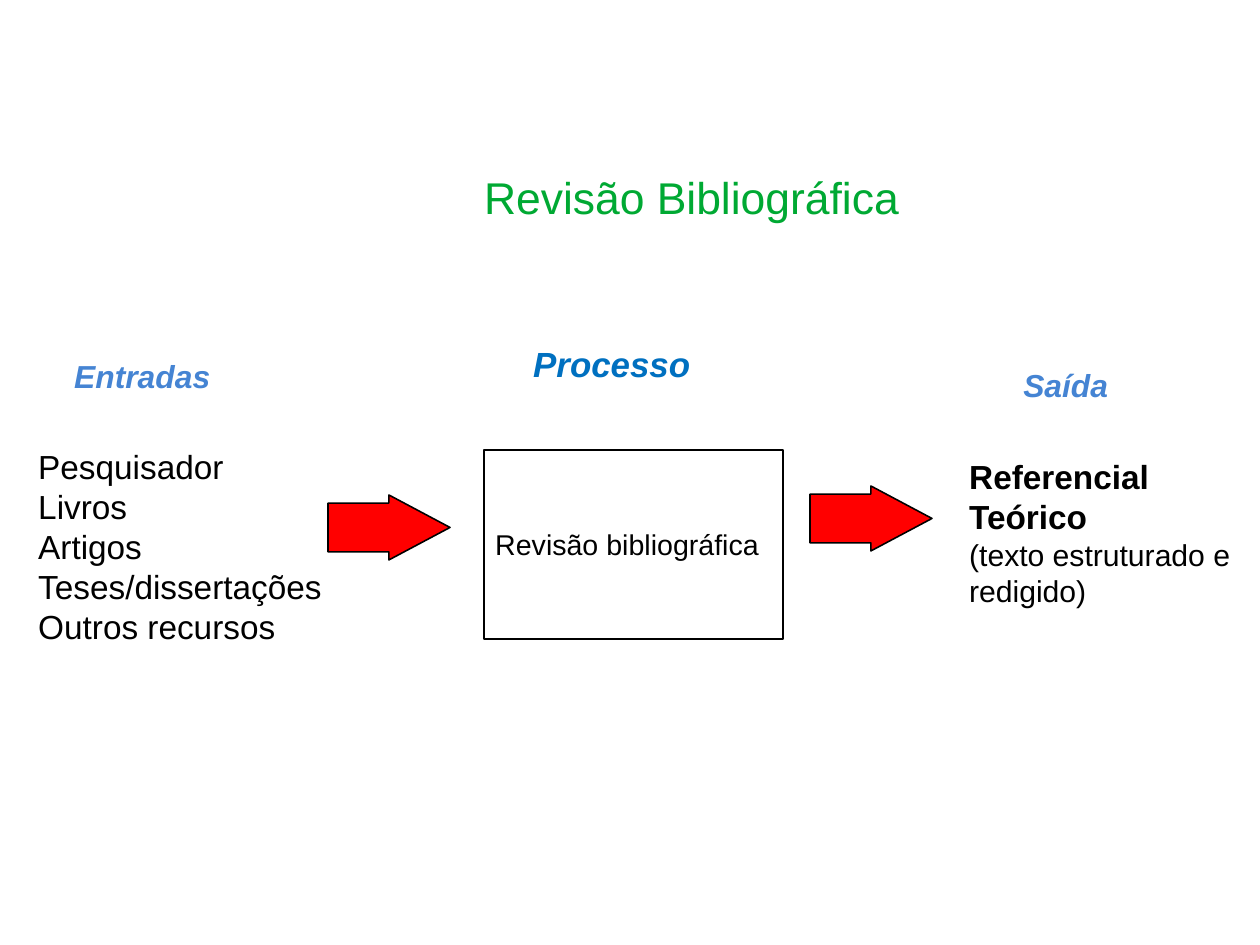
from pptx import Presentation
from pptx.dml.color import RGBColor
from pptx.enum.shapes import MSO_SHAPE as Shape
from pptx.enum.text import MSO_ANCHOR as Anchor, PP_ALIGN as Align
from pptx.util import Pt

PX = 8000
COLORS = {
    "title": "00A933", "side": "4584D3", "process": "0070C0",
    "ink": "000000", "arrow": "FF0000", "paper": "FFFFFF",
}

TITLE = ("Revisão Bibliográfica ", 28, "title", "")
TITLE_BOX = (198, 118, 999, 158)
HEADINGS = [
    ((63, 351, 164, 49), [("Entradas", 20, "side", "bi")]),
    ((522, 337, 190, 89), [("Processo", 22, "process", "bi")]),
    ((1012, 360, 122, 82), [("Saída", 20, "side", "bi")]),
]
INPUTS = ["Pesquisador", "Livros", "Artigos", "Teses/dissertações", "Outros recursos"]
INPUTS_BOX = (27, 441, 310, 198)
OUTPUT = [
    ("Referencial Teórico", 21, "ink", "b"),
    ("(texto estruturado e redigido)", 19, "ink", ""),
]
OUTPUT_BOX = (958, 451, 286, 153)
PROCESS = [("Revisão bibliográfica", 18, "ink", "")]
PROCESS_BOX = (484, 450, 299, 189)
ARROWS = [(328, 495), (810, 486)]
ARROW_SIZE = (122, 65)


def emu(box):
    return [value * PX for value in box]


def color(name):
    return RGBColor.from_string(COLORS[name])


def write(frame, lines, align=Align.LEFT):
    for index, (words, size, ink, style) in enumerate(lines):
        paragraph = frame.add_paragraph() if index else frame.paragraphs[0]
        paragraph.alignment = align
        run = paragraph.add_run()
        run.text = words
        run.font.name = "Arial"
        run.font.size = Pt(size)
        run.font.bold = "b" in style
        run.font.italic = "i" in style
        run.font.color.rgb = color(ink)


def add_label(slide, box, lines):
    frame = slide.shapes.add_textbox(*emu(box)).text_frame
    frame.word_wrap = True
    write(frame, lines)


def add_outlined(slide, kind, box, fill):
    outlined = slide.shapes.add_shape(kind, *emu(box))
    outlined.shadow.inherit = False
    outlined.fill.solid()
    outlined.fill.fore_color.rgb = color(fill)
    outlined.line.color.rgb = color("ink")
    outlined.line.width = Pt(1)
    return outlined


def main():
    deck = Presentation()
    deck.slide_width, deck.slide_height = emu((1260, 945))
    slide = deck.slides.add_slide(deck.slide_layouts[5])

    title = slide.shapes.title
    title.left, title.top, title.width, title.height = emu(TITLE_BOX)
    heading = title.text_frame
    heading.margin_left = heading.margin_right = 0
    heading.margin_top = heading.margin_bottom = 0
    heading.vertical_anchor = Anchor.MIDDLE
    write(heading, [TITLE], Align.CENTER)

    inputs = [(name, 21, "ink", "") for name in INPUTS]
    for box, lines in HEADINGS + [(INPUTS_BOX, inputs), (OUTPUT_BOX, OUTPUT)]:
        add_label(slide, box, lines)

    process = add_outlined(slide, Shape.RECTANGLE, PROCESS_BOX, "paper").text_frame
    process.word_wrap = True
    process.vertical_anchor = Anchor.MIDDLE
    write(process, PROCESS)

    for corner in ARROWS:
        arrow = add_outlined(slide, Shape.RIGHT_ARROW, corner + ARROW_SIZE, "arrow")
        arrow.adjustments[0] = 0.75
        arrow.adjustments[1] = 0.94

    deck.save("out.pptx")


if __name__ == "__main__":
    main()
